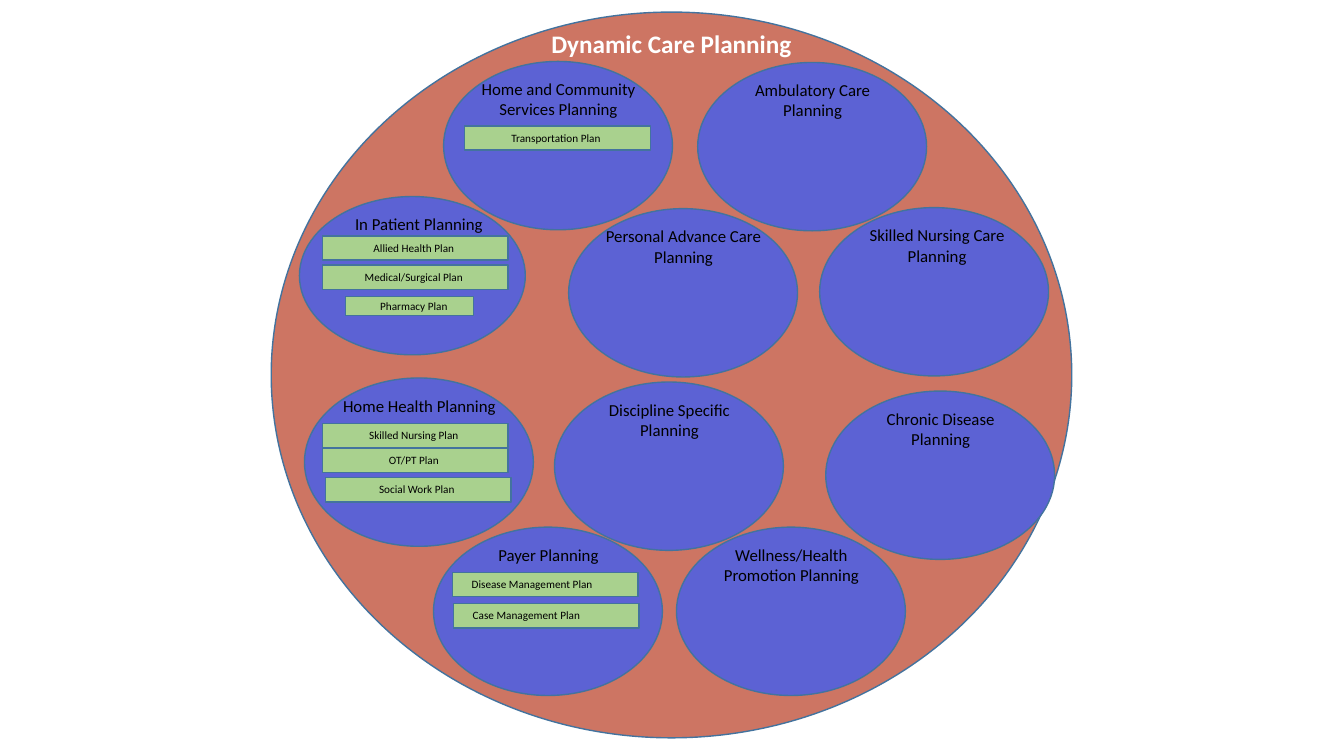
from pptx import Presentation
from pptx import util as u
from pptx.dml.color import RGBColor
from pptx.enum import shapes, text

COLORS = {"circle": "CD7563", "domain": "5C62D4", "plan": "A9D18E",
          "line": "43739E", "title": "FFFFFF", "text": "000000"}
COLS, ROWS = 133.3, 75
CELL = u.Inches(0.1)
DOMAIN_W, DOMAIN_H = 22.7, 16.7
PLAN_W, PLAN_H = 18.4, 2.4
CENTER, LEFT = text.PP_ALIGN.CENTER, text.PP_ALIGN.LEFT


def cells(*values):
    return [round(v * CELL) for v in values]


def add_block(s, kind, box, color):
    sp = s.shapes.add_shape(kind, *cells(*box))
    sp.shadow.inherit = False
    sp.fill.solid()
    sp.fill.fore_color.rgb = RGBColor.from_string(COLORS[color])
    sp.line.color.rgb = RGBColor.from_string(COLORS["line"])
    sp.line.width = u.Pt(1)
    return sp


def write(sp, words, size, color="text", align=CENTER, bold=False):
    tf = sp.text_frame
    tf.text = words
    tf.word_wrap = True
    tf.auto_size = text.MSO_AUTO_SIZE.NONE
    tf.vertical_anchor = text.MSO_ANCHOR.TOP
    p = tf.paragraphs[0]
    p.alignment = align
    r = p.runs[0]
    r.font.name = "Calibri"
    r.font.size = u.Pt(size)
    r.font.bold = bold
    r.font.color.rgb = RGBColor.from_string(COLORS[color])


def add_label(s, box, words, size, align=CENTER):
    write(s.shapes.add_textbox(*cells(*box)), words, size, align=align)


def add_circle(s, box, title):
    x, y, w, h = box
    circle = add_block(s, shapes.MSO_SHAPE.OVAL, box, "circle")
    sp = s.shapes.title
    sp.element.addprevious(circle.element)
    sp.left, sp.top, sp.width, sp.height = cells(x + 0.285 * w, y + 1.1, 0.43 * w, 4)
    write(sp, title, 18, "title", bold=True)


def add_plan(s, x, y, name, align, bar=(0, 0, PLAN_W, PLAN_H)):
    dx, dy, w, h = bar
    add_block(s, shapes.MSO_SHAPE.RECTANGLE, (x + dx, y + dy, w, h), "plan")
    add_label(s, (x + 0.9, y, PLAN_W - 2.1, PLAN_H), name, 8, align)


def add_domain(s, box, name, plans=(), shift=0.05, align=CENTER):
    x, y, w, h = box
    add_block(s, shapes.MSO_SHAPE.OVAL, box, "domain")
    label_w = 18.7
    add_label(s, (x + (w - label_w) / 2 + shift, y + 0.075 * h, label_w, 5), name, 12)
    for dx, dy, plan, *bar in plans:
        add_plan(s, x + dx, y + dy, plan, align, *bar)


def domain_box(x, y, w=DOMAIN_W, h=DOMAIN_H):
    return x, y, w, h


def care_planning_slide(prs):
    s = prs.slides.add_slide(prs.slide_layouts[5])
    add_circle(s, (26.9, 1.2, 79.4, 72), "Dynamic Care Planning")
    add_domain(s, domain_box(29.7, 19.5, 22.4, 15.7), "In Patient Planning", [
        (2.3, 3.9, "Allied Health Plan"),
        (2.3, 6.8, "Medical/Surgical Plan"),
        (2.3, 9.7, "Pharmacy Plan", (2.3, 0.2, 12.7, 1.9))], shift=0.65)
    add_domain(s, domain_box(30.2, 37.5), "Home Health Planning", [
        (1.8, 4.5, "Skilled Nursing Plan"),
        (1.8, 7, "OT/PT Plan"),
        (2.1, 9.9, "Social Work Plan")])
    add_domain(s, domain_box(69.2, 6.2), "Ambulatory Care Planning")
    add_domain(s, domain_box(81.3, 20.6), "Skilled Nursing Care Planning", shift=0.3)
    add_domain(s, domain_box(43, 52.3), "Payer Planning", [
        (1.9, 4.5, "Disease Management Plan"),
        (2, 7.6, "Case Management Plan")], align=LEFT)
    add_domain(s, domain_box(56.4, 20.7), "Personal Advance Care Planning")
    add_domain(s, domain_box(44, 6.1), "Home and Community Services Planning", [
        (2.1, 6.4, "Transportation Plan")])
    add_domain(s, domain_box(67.1, 52.3), "Wellness/Health Promotion Planning")
    add_domain(s, domain_box(55, 37.9), "Discipline Specific Planning")
    add_domain(s, domain_box(81.9, 38.8), "Chronic Disease Planning")


prs = Presentation()
prs.slide_width, prs.slide_height = cells(COLS, ROWS)
care_planning_slide(prs)
prs.save("out.pptx")
